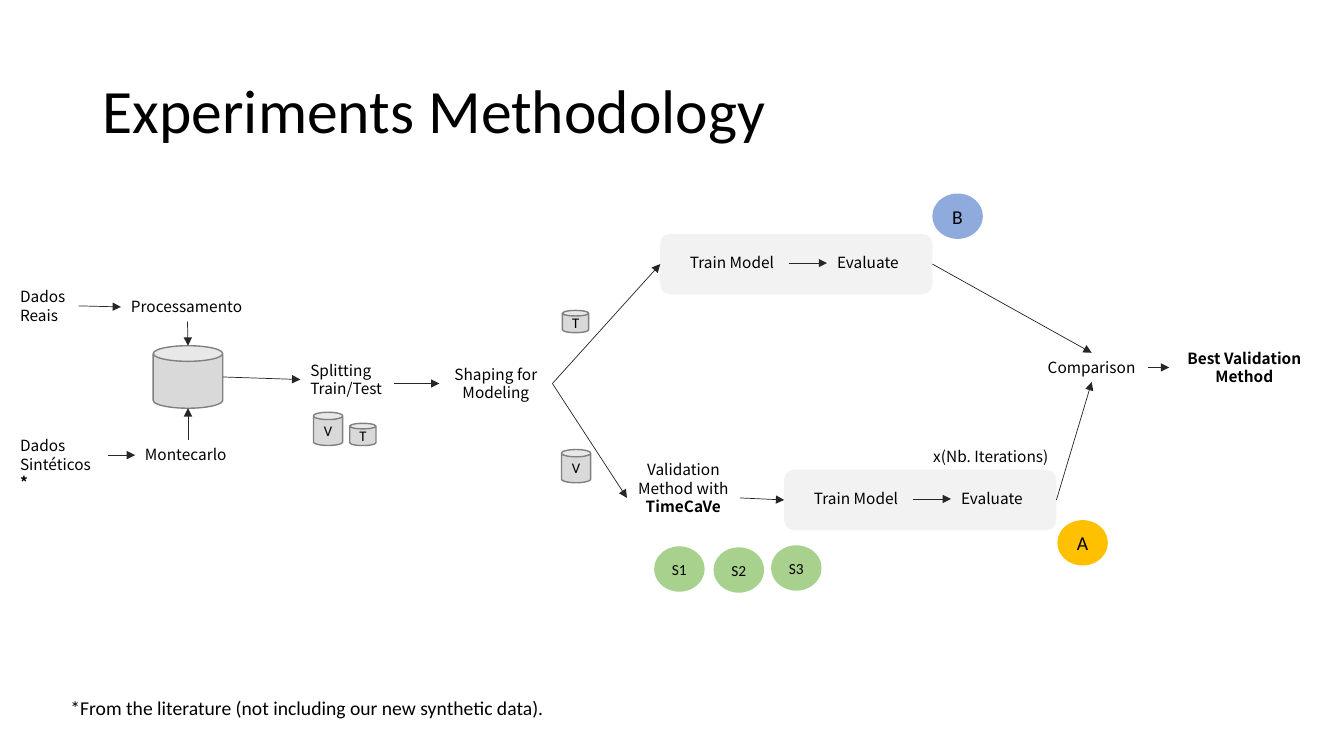
from dataclasses import dataclass

from lxml.etree import SubElement
from pptx import Presentation
from pptx.dml.color import RGBColor
from pptx.enum.shapes import MSO_CONNECTOR, MSO_SHAPE
from pptx.enum.text import MSO_ANCHOR, MSO_AUTO_SIZE, PP_ALIGN
from pptx.oxml.ns import qn
from pptx.util import Inches, Pt


@dataclass(frozen=True)
class Theme:
    heading_font: str = "Calibri"
    label_font: str = "Noto Sans CJK TC"
    ink: str = "000000"
    arrow: str = "262626"
    can_fill: str = "D9D9D9"
    can_line: str = "808080"
    panel: str = "F2F2F2"
    blue: str = "8FAADC"
    amber: str = "FFC000"
    green: str = "A9D18E"
    title_size: float = 44
    note_size: float = 14
    label_size: float = 11
    can_size: float = 10.5
    label_pitch: float = 13.2


def write_text(shape, text, *, font, size, color, align=PP_ALIGN.LEFT, bold=False,
               emphasis="", spacing=None, wrap=True, anchor=MSO_ANCHOR.TOP, inset=None):
    frame = shape.text_frame
    frame.auto_size = MSO_AUTO_SIZE.NONE
    frame.word_wrap = wrap
    frame.vertical_anchor = anchor
    if inset is not None:
        frame.margin_left = frame.margin_right = inset
        frame.margin_top = frame.margin_bottom = inset
    for index, line in enumerate(text.split("\n")):
        paragraph = frame.add_paragraph() if index else frame.paragraphs[0]
        paragraph.alignment = align
        if spacing:
            paragraph.line_spacing = spacing
        plain, strong, rest = line.partition(emphasis) if emphasis else (line, "", "")
        for words, heavy in ((plain, bold), (strong, True), (rest, bold)):
            if words:
                run = paragraph.add_run()
                run.text = words
                run.font.name = font
                run.font.size = Pt(size)
                run.font.bold = heavy
                run.font.color.rgb = RGBColor.from_string(color)


def side(shape, name):
    across, down = {"left": (0, 0.5), "right": (1, 0.5),
                    "top": (0.5, 0), "bottom": (0.5, 1)}[name]
    return shape.left + int(shape.width * across), shape.top + int(shape.height * down)


class Diagram:
    COLUMNS, ROWS = 133.33, 75

    def __init__(self, presentation, theme):
        self.theme = theme
        self.column = presentation.slide_width / self.COLUMNS
        self.row = presentation.slide_height / self.ROWS
        self.slide = presentation.slides.add_slide(presentation.slide_layouts[5])
        self.canvas = self.slide.shapes

    def cells(self, left, top, width, height):
        return (int(left * self.column), int(top * self.row),
                int(width * self.column), int(height * self.row))

    def title(self, text, *box):
        shape = self.slide.shapes.title
        shape.left, shape.top, shape.width, shape.height = self.cells(*box)
        write_text(shape, text, font=self.theme.heading_font, size=self.theme.title_size,
                   color=self.theme.ink, spacing=0.9, anchor=MSO_ANCHOR.MIDDLE)

    def label(self, text, *box, **text_format):
        shape = self.canvas.add_textbox(*self.cells(*box))
        style = dict(font=self.theme.label_font, size=self.theme.label_size,
                     color=self.theme.ink, spacing=Pt(self.theme.label_pitch))
        write_text(shape, text, **{**style, **text_format})
        return shape

    def block(self, kind, fill, *box, line=None, text="", size=None):
        shape = self.canvas.add_shape(kind, *self.cells(*box))
        shape.shadow.inherit = False
        shape.fill.solid()
        shape.fill.fore_color.rgb = RGBColor.from_string(fill)
        if line:
            shape.line.color.rgb = RGBColor.from_string(line)
            shape.line.width = Pt(1)
        else:
            shape.line.fill.background()
        if text:
            write_text(shape, text, font=self.theme.heading_font, size=size,
                       color=self.theme.ink, align=PP_ALIGN.CENTER,
                       anchor=MSO_ANCHOR.MIDDLE, inset=0)
        return shape

    def can(self, *box, text=""):
        return self.block(MSO_SHAPE.CAN, self.theme.can_fill, *box,
                          line=self.theme.can_line, text=text, size=self.theme.can_size)

    def badge(self, text, fill, left, top, size):
        return self.block(MSO_SHAPE.OVAL, fill, left, top, 5, 4.5, text=text, size=size)

    def arrow(self, source, source_side, target, target_side, level=False):
        start, end = side(source, source_side), side(target, target_side)
        if level:
            start = start[0], end[1]
        connector = self.canvas.add_connector(MSO_CONNECTOR.STRAIGHT, *start, *end)
        connector.line.color.rgb = RGBColor.from_string(self.theme.arrow)
        connector.line.width = Pt(0.5)
        SubElement(connector.line._get_or_add_ln(), qn("a:tailEnd"), type="triangle")
        SubElement(connector._element.spPr, qn("a:effectLst"))

    def training_panel(self, left, top):
        self.canvas = self.slide.shapes.add_group_shape().shapes
        panel = self.block(MSO_SHAPE.ROUNDED_RECTANGLE, self.theme.panel, left, top, 27, 6)
        train = self.label("Train Model", left + 1.95, top + 1.45, 10.8, 2.9, wrap=False)
        evaluate = self.label("Evaluate", left + 16.55, top + 1.45, 8.1, 2.9, wrap=False)
        self.arrow(train, "right", evaluate, "left")
        self.canvas = self.slide.shapes
        return panel


def main():
    presentation = Presentation()
    presentation.slide_width = Inches(13.33)
    presentation.slide_height = Inches(7.5)
    theme = Theme()
    diagram = Diagram(presentation, theme)
    centered = dict(align=PP_ALIGN.CENTER)

    diagram.title("Experiments Methodology", 9.2, 4, 115, 14.5)

    real_data = diagram.label("Dados\nReais", 1, 28, 6.8, 4.7)
    processing = diagram.label("Processamento", 12, 29, 13.2, 2.9, wrap=False)
    synthetic_data = diagram.label("Dados\nSintéticos*", 1, 42.8, 9.7, 4.7, emphasis="*")
    montecarlo = diagram.label("Montecarlo", 13.4, 43.7, 10.5, 2.9, wrap=False)
    store = diagram.can(15.2, 34.3, 6.9, 6.2)
    splitting = diagram.label("Splitting\nTrain/Test", 29.8, 35.3, 9.3, 4.7, wrap=False)
    shaping = diagram.label("Shaping for Modeling", 43.6, 35.7, 11.2, 4.7, **centered)
    upper_panel = diagram.training_panel(65.5, 23.2)
    lower_panel = diagram.training_panel(77.8, 46.6)
    validation = diagram.label("Validation Method with\nTimeCaVe", 62.2, 45.2, 11.2, 8.4,
                               emphasis="TimeCaVe", **centered)
    diagram.label("x(Nb. Iterations)", 91.6, 43.9, 13.6, 2.9, wrap=False)
    comparison = diagram.label("Comparison", 102.7, 35, 11.2, 2.9, **centered)
    best_method = diagram.label("Best Validation Method", 116, 34.1, 14.9, 4.7,
                                bold=True, **centered)

    for source, source_side, target, target_side in (
        (real_data, "right", processing, "left"),
        (synthetic_data, "right", montecarlo, "left"),
        (processing, "bottom", store, "top"),
        (montecarlo, "top", store, "bottom"),
        (store, "right", splitting, "left"),
        (shaping, "right", upper_panel, "left"),
        (shaping, "right", validation, "left"),
        (validation, "right", lower_panel, "left"),
        (upper_panel, "right", comparison, "top"),
        (lower_panel, "right", comparison, "bottom"),
        (comparison, "right", best_method, "left"),
    ):
        diagram.arrow(source, source_side, target, target_side)
    diagram.arrow(splitting, "right", shaping, "left", level=True)

    for left, top in ((31.1, 40.9), (55.7, 44.6)):
        diagram.can(left, top, 2.9, 3.3, text="V")
    for left, top in ((34.7, 42), (55.8, 30.8)):
        diagram.can(left, top, 2.6, 2.2, text="T")

    diagram.badge("B", theme.blue, 92.5, 19.2, theme.note_size)
    diagram.badge("A", theme.amber, 104.9, 51.6, theme.note_size)
    for text, left, top in (("S1", 64.9, 54.2), ("S2", 70.8, 54.3), ("S3", 76.5, 54.1)):
        diagram.badge(text, theme.green, left, top, theme.label_size)

    diagram.label("*From the literature (not including our new synthetic data).",
                  6, 68.5, 49.9, 3.4, font=theme.heading_font, size=theme.note_size,
                  spacing=None, wrap=False)
    presentation.save("out.pptx")


if __name__ == "__main__":
    main()
